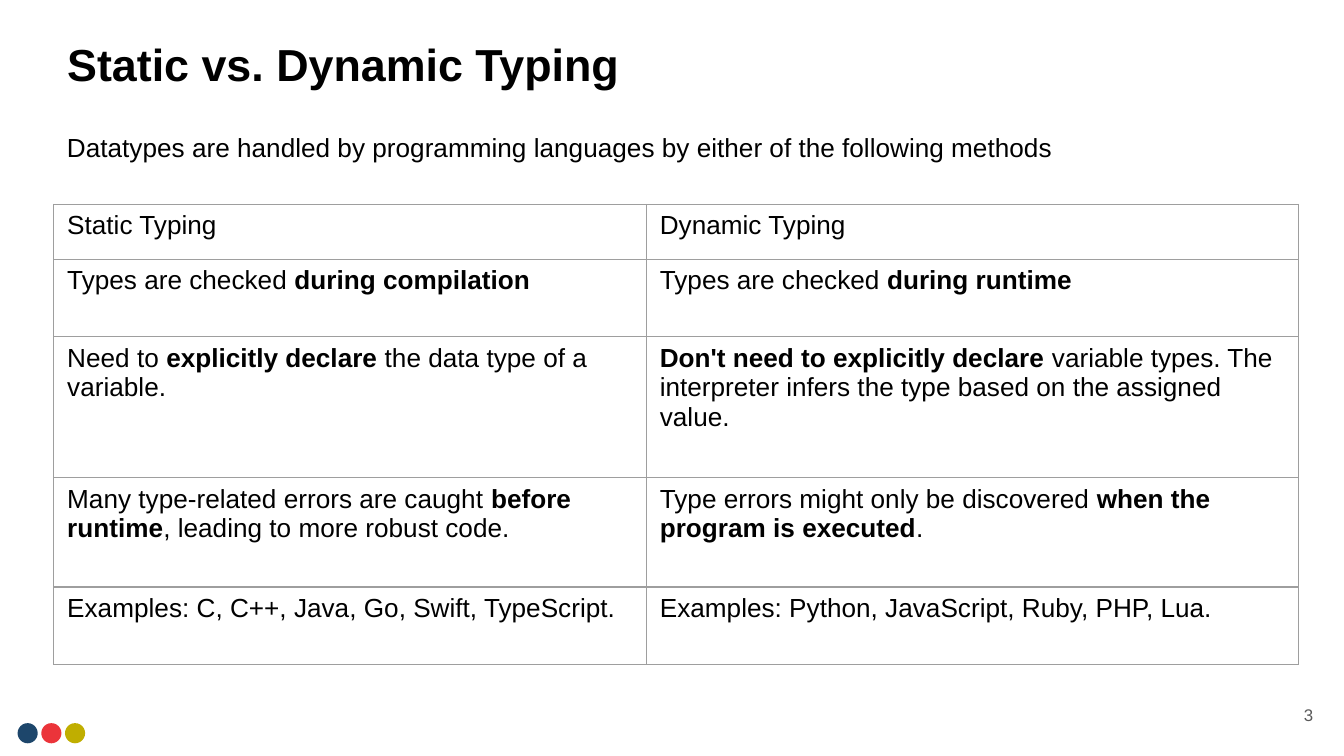
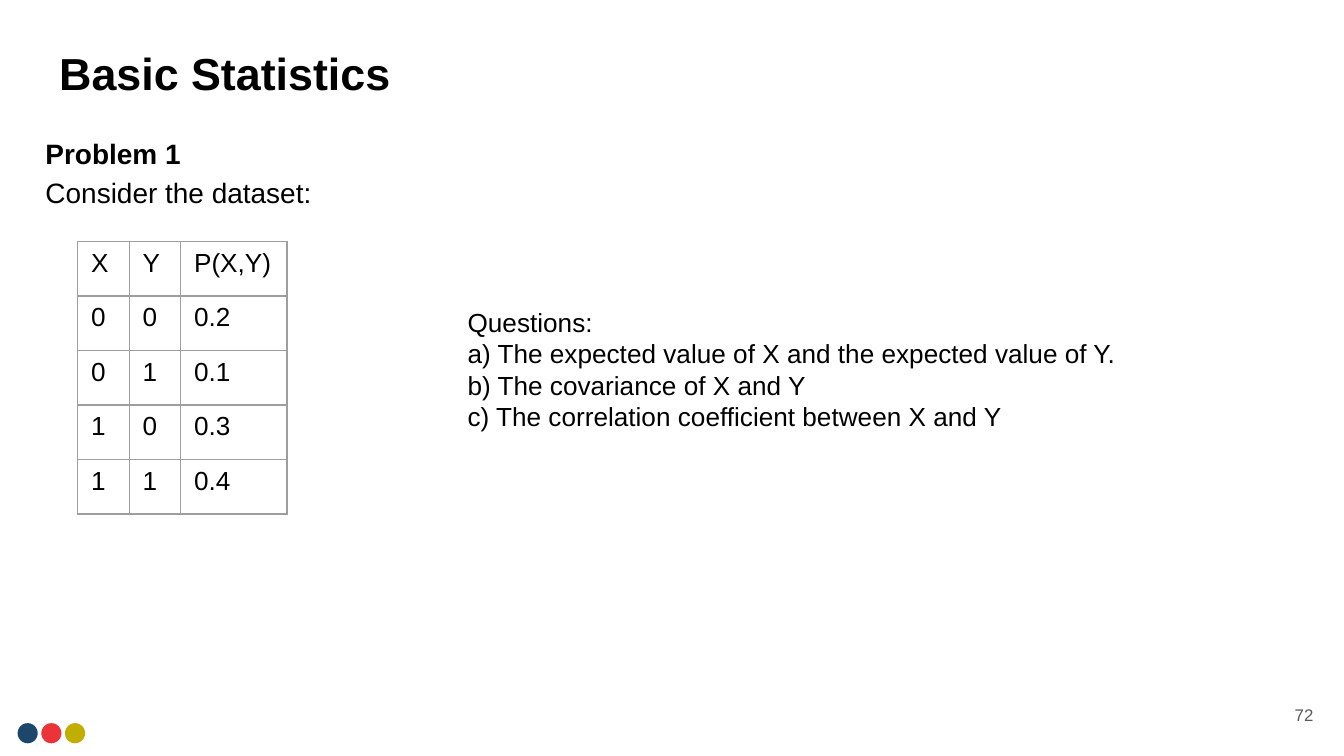
from lxml.etree import SubElement
from pptx import Presentation
from pptx.dml.color import RGBColor
from pptx.enum.shapes import MSO_SHAPE
from pptx.enum.text import MSO_ANCHOR, MSO_AUTO_SIZE, PP_ALIGN
from pptx.oxml.ns import qn
from pptx.util import Pt

COLORS = {
    "text": "000000",
    "number": "595959",
    "border": "9E9E9E",
    "navy": "1D466B",
    "red": "EB343A",
    "olive": "C0AE00",
}
FONT = "Arial"
TITLE_ONLY = 5


def rgb(name):
    return RGBColor.from_string(COLORS[name])


class Deck:
    """Holds the shared style and the current slide."""

    def __init__(self, prs):
        self.prs = prs
        self.s = None

    def slide(self, title, left, top, number):
        self.s = self.prs.slides.add_slide(self.prs.slide_layouts[TITLE_ONLY])
        self.title(title, left, top)
        self.dots()
        self.text([str(number)], 667.5, 367.2, 43.2, 31, size=9, color="number",
                  align=PP_ALIGN.RIGHT, anchor=MSO_ANCHOR.MIDDLE, inset=7.2)

    def title(self, text, left, top):
        sp = self.s.shapes.title
        sp.left, sp.top, sp.width, sp.height = Pt(left), Pt(top), Pt(671), Pt(44)
        self.frame(sp.text_frame, MSO_ANCHOR.MIDDLE, 7.2)
        self.add_lines(sp.text_frame, [f"**{text}**"], size=24)

    def dots(self):
        for i, color in enumerate(("navy", "red", "olive")):
            sp = self.s.shapes.add_shape(MSO_SHAPE.OVAL, Pt(9.4 + 12.7 * i),
                                         Pt(387.4), Pt(10.8), Pt(10.8))
            sp.shadow.inherit = False
            sp.fill.solid()
            sp.fill.fore_color.rgb = rgb(color)
            sp.line.fill.background()

    def frame(self, tf, anchor, inset, wrap=True):
        values = {"word_wrap": wrap, "auto_size": MSO_AUTO_SIZE.NONE,
                  "vertical_anchor": anchor,
                  "margin_top": Pt(inset), "margin_bottom": Pt(inset),
                  "margin_left": Pt(7.2), "margin_right": Pt(7.2)}
        for name, value in values.items():
            setattr(tf, name, value)

    def add_lines(self, tf, lines, size=14, color="text", align=PP_ALIGN.LEFT,
                  spacing=1.0):
        """Add one paragraph a line; **text** is bold."""
        for i, line in enumerate(lines):
            p = tf.paragraphs[0] if i == 0 else tf.add_paragraph()
            layout = {"alignment": align, "line_spacing": spacing,
                      "space_before": Pt(0), "space_after": Pt(0)}
            for name, value in layout.items():
                setattr(p, name, value)
            for j, part in enumerate(line.split("**")):
                if not part:
                    continue
                r = p.add_run()
                r.text = part
                font = {"name": FONT, "size": Pt(size), "bold": j % 2 == 1}
                for name, value in font.items():
                    setattr(r.font, name, value)
                r.font.color.rgb = rgb(color)

    def text(self, lines, left, top, width, height, anchor=MSO_ANCHOR.TOP,
             inset=3.6, wrap=True, **style):
        sp = self.s.shapes.add_textbox(Pt(left), Pt(top), Pt(width), Pt(height))
        self.frame(sp.text_frame, anchor, inset, wrap)
        self.add_lines(sp.text_frame, lines, **style)

    def table(self, rows, left, top, widths, heights):
        sp = self.s.shapes.add_table(len(rows), len(widths), Pt(left), Pt(top),
                                     Pt(sum(widths)), Pt(sum(heights)))
        table = sp.table
        table.first_row = table.horz_banding = False
        for column, width in zip(table.columns, widths):
            column.width = Pt(width)
        for row, height, texts in zip(table.rows, heights, rows):
            row.height = Pt(height)
            for cell, text in zip(row.cells, texts):
                self.add_lines(cell.text_frame, [text])
                self.borders(cell)
                cell.fill.background()

    def borders(self, cell):
        tc_pr = cell._tc.get_or_add_tcPr()
        for side in ("lnL", "lnR", "lnT", "lnB"):
            ln = SubElement(tc_pr, qn(f"a:{side}"), w=str(Pt(0.75)))
            fill = SubElement(ln, qn("a:solidFill"))
            SubElement(fill, qn("a:srgbClr"), val=COLORS["border"])


def typing_slide(deck):
    deck.slide("Static vs. Dynamic Typing", 28.8, 12.3, 3)
    deck.table(
        [("Static Typing", "Dynamic Typing"),
         ("Types are checked **during compilation**",
          "Types are checked **during runtime**"),
         ("Need to **explicitly declare** the data type of a variable.",
          "**Don't need to explicitly declare** variable types. The interpreter "
          "infers the type based on the assigned value."),
         ("Many type-related errors are caught **before runtime**, leading to "
          "more robust code.",
          "Type errors might only be discovered **when the program is executed**."),
         ("Examples: C, C++, Java, Go, Swift, TypeScript.",
          "Examples: Python, JavaScript, Ruby, PHP, Lua.")],
        28.8, 109.5, (317.5, 349.5), (29.5, 41.5, 75.5, 58.5, 41.5))
    deck.text(["Datatypes are handled by programming languages by either of the "
               "following methods"], 28.8, 67, 544.3, 24.5, wrap=False)


def statistics_slide(deck):
    deck.slide("Basic Statistics", 24.5, 16.6, 72)
    deck.text(["**Problem 1**", "Consider the dataset:"], 17.3, 63.4, 693.4, 316.8,
              inset=7.2, size=15, spacing=1.15)
    deck.table(
        [("X", "Y", "P(X,Y)"),
         ("0", "0", "0.2"),
         ("0", "1", "0.1"),
         ("1", "0", "0.3"),
         ("1", "1", "0.4")],
        41.6, 129.4, (27.6, 27.6, 57), [29.2] * 5)
    deck.text(["Questions:",
               "a) The expected value of X and the expected value of Y.",
               "b) The covariance of X and Y",
               "c) The correlation coefficient between X and Y"],
              243.4, 160.6, 405.4, 74.9)


def main():
    prs = Presentation()
    prs.slide_width, prs.slide_height = Pt(720), Pt(405)
    deck = Deck(prs)
    typing_slide(deck)
    statistics_slide(deck)
    prs.save("out.pptx")


if __name__ == "__main__":
    main()
